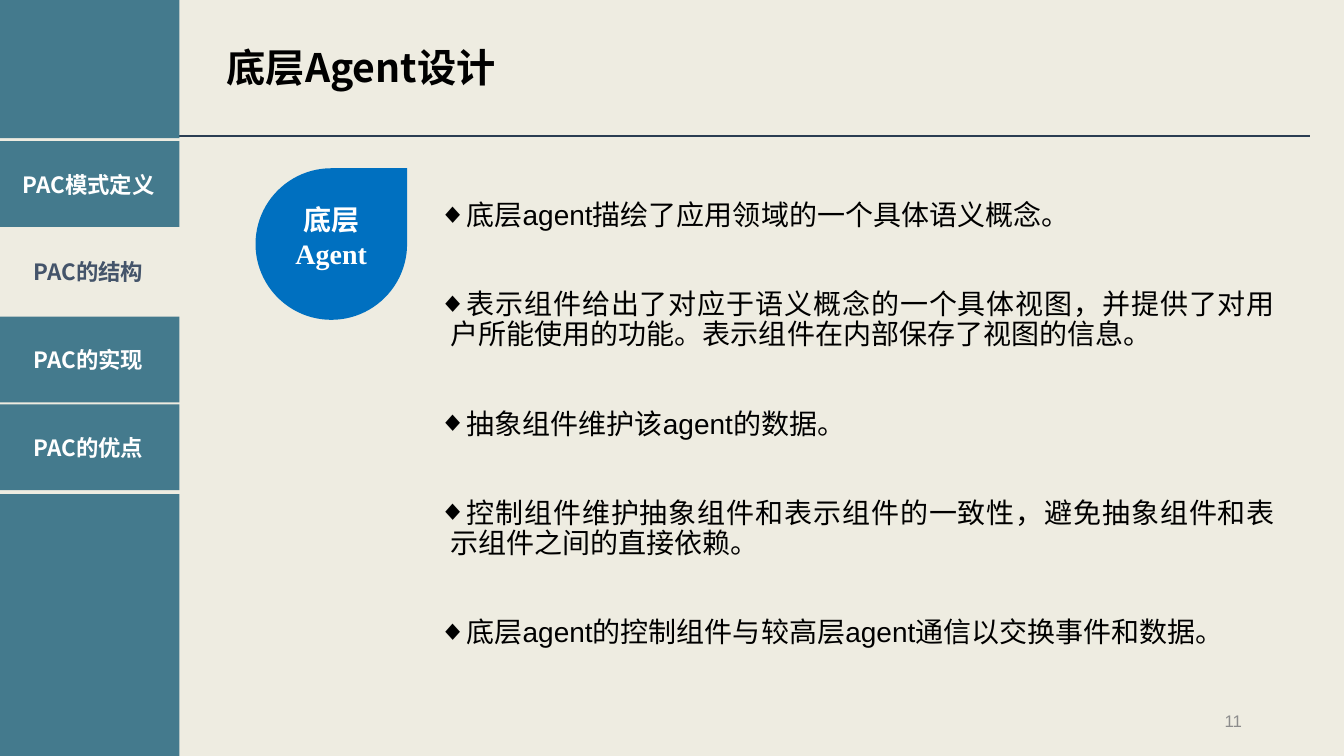
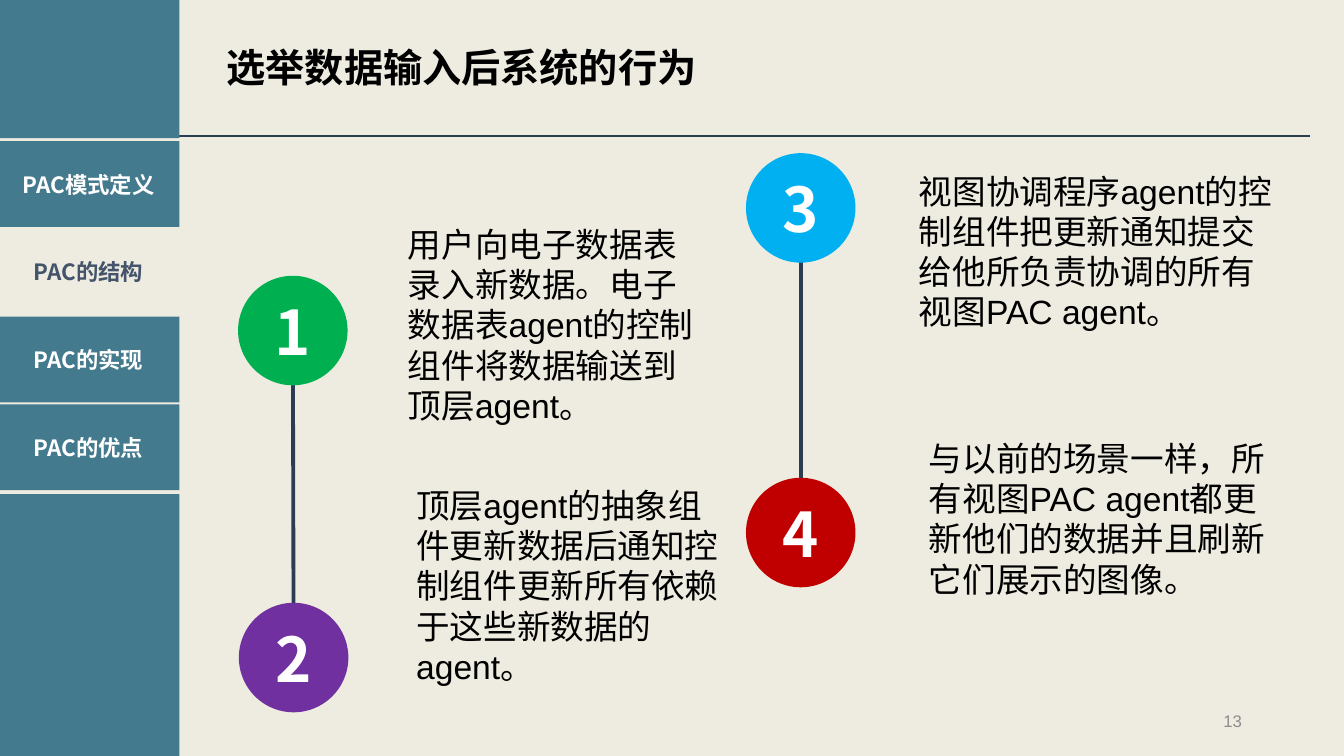
from dataclasses import dataclass

from lxml.etree import SubElement
from pptx import Presentation
from pptx.dml.color import RGBColor
from pptx.enum.shapes import MSO_CONNECTOR as Connector, MSO_SHAPE as Preset
from pptx.enum.text import MSO_ANCHOR as Anchor, MSO_AUTO_SIZE as AutoSize, PP_ALIGN as Align
from pptx.oxml.ns import qn
from pptx.shapes.autoshape import Shape
from pptx.slide import Slide
from pptx.text.text import TextFrame
from pptx.util import Cm, Pt

CREAM = RGBColor(0xEE, 0xEC, 0xE1)
TEAL = RGBColor(0x44, 0x7A, 0x8D)
SLATE = RGBColor(0x44, 0x54, 0x6A)
NAVY = RGBColor(0x2A, 0x3D, 0x52)
GRAY = RGBColor(0x8C, 0x8C, 0x8C)
BLACK = RGBColor(0x00, 0x00, 0x00)
WHITE = RGBColor(0xFF, 0xFF, 0xFF)
BLUE = RGBColor(0x00, 0x70, 0xC0)
GREEN = RGBColor(0x00, 0xB0, 0x50)
PURPLE = RGBColor(0x70, 0x30, 0xA0)
SKY = RGBColor(0x00, 0xB0, 0xF0)
RED = RGBColor(0xC0, 0x00, 0x00)

SANS = "Noto Sans CJK SC"
BODY = "Arial"
SERIF = "Times New Roman"

SECTIONS = ("PAC模式定义", "PAC的结构", "PAC的实现", "PAC的优点")
CURRENT_SECTION = "PAC的结构"
SIDEBAR_LEFT, SIDEBAR_WIDTH = -0.05, 4.57
TAB_TOP, TAB_HEIGHT, TAB_PITCH = 3.56, 2.16, 2.21
CIRCLE_SIZE = 2.76


@dataclass(frozen=True)
class Box:
    left: float
    top: float
    width: float
    height: float

    def lengths(self) -> tuple[Cm, Cm, Cm, Cm]:
        return Cm(self.left), Cm(self.top), Cm(self.width), Cm(self.height)


@dataclass(frozen=True)
class TextStyle:
    size: float
    font: str
    color: RGBColor
    bold: bool = False
    align: Align = Align.LEFT


@dataclass(frozen=True)
class Step:
    number: str
    color: RGBColor
    left: float
    top: float
    text: str
    text_box: Box

    def center(self) -> tuple[Cm, Cm]:
        return Cm(self.left + CIRCLE_SIZE / 2), Cm(self.top + CIRCLE_SIZE / 2)


TITLE_BOX = Box(5.46, 0.97, 15.72, 1.45)
NUMBER_BOX = Box(23.93, 17.65, 7.62, 1.02)
LIST_BOX = Box(10.8, 4.95, 21.59, 11.43)
DROP_BOX = Box(6.44, 4.24, 3.82, 3.82)

TITLE_STYLE = TextStyle(28, SANS, BLACK, True)
NUMBER_STYLE = TextStyle(12, BODY, GRAY, align=Align.RIGHT)
TAB_STYLE = TextStyle(16, SANS, WHITE, True, Align.CENTER)
CURRENT_TAB_STYLE = TextStyle(16, SANS, SLATE, True, Align.CENTER)
DROP_STYLE = TextStyle(20, SERIF, WHITE, True, Align.CENTER)
LIST_STYLE = TextStyle(20, BODY, BLACK, align=Align.JUSTIFY)
CIRCLE_STYLE = TextStyle(44, SANS, WHITE, True, Align.CENTER)
STEP_STYLE = TextStyle(24, BODY, BLACK)

AGENT_POINTS = (
    "底层agent描绘了应用领域的一个具体语义概念。",
    "表示组件给出了对应于语义概念的一个具体视图，并提供了对用户所能使用的功能。表示组件在内部保存了视图的信息。",
    "抽象组件维护该agent的数据。",
    "控制组件维护抽象组件和表示组件的一致性，避免抽象组件和表示组件之间的直接依赖。",
    "底层agent的控制组件与较高层agent通信以交换事件和数据。",
)

STEP_CHAINS = (
    (
        Step("1", GREEN, 6.0, 6.95,
             "用户向电子数据表录入新数据。电子数据表agent的控制组件将数据输送到顶层agent。",
             Box(8.76, 5.51, 9.37, 5.38)),
        Step("2", PURPLE, 6.02, 15.19,
             "顶层agent的抽象组件更新数据后通知控制组件更新所有依赖于这些新数据的agent。",
             Box(8.97, 12.09, 9.65, 5.38)),
    ),
    (
        Step("3", SKY, 18.8, 3.86,
             "视图协调程序agent的控制组件把更新通知提交给他所负责协调的所有视图PAC agent。",
             Box(21.64, 4.17, 10.8, 4.37)),
        Step("4", RED, 18.8, 12.04,
             "与以前的场景一样，所有视图PAC agent都更新他们的数据并且刷新它们展示的图像。",
             Box(21.89, 10.9, 10.8, 4.37)),
    ),
)


def write(frame: TextFrame, text: str, style: TextStyle, anchor: Anchor = Anchor.TOP) -> None:
    frame.text = text
    frame.word_wrap = True
    frame.auto_size = AutoSize.NONE
    frame.vertical_anchor = anchor
    for paragraph in frame.paragraphs:
        paragraph.alignment = style.align
        for run in paragraph.runs:
            run.font.size = Pt(style.size)
            run.font.name = style.font
            run.font.bold = style.bold
            run.font.color.rgb = style.color


def add_filled(slide: Slide, preset: Preset, box: Box, color: RGBColor) -> Shape:
    filled = slide.shapes.add_shape(preset, *box.lengths())
    filled.shadow.inherit = False
    filled.fill.solid()
    filled.fill.fore_color.rgb = color
    filled.line.fill.background()
    return filled


def add_line(slide: Slide, start: tuple[Cm, Cm], end: tuple[Cm, Cm], width: float) -> None:
    line = slide.shapes.add_connector(Connector.STRAIGHT, *start, *end)
    line.line.color.rgb = NAVY
    line.line.width = Pt(width)
    SubElement(line._element.spPr, qn("a:effectLst"))


def add_text(slide: Slide, box: Box, text: str, style: TextStyle,
             anchor: Anchor = Anchor.TOP) -> TextFrame:
    frame = slide.shapes.add_textbox(*box.lengths()).text_frame
    write(frame, text, style, anchor)
    return frame


def place(placeholder: Shape, box: Box) -> None:
    placeholder.left, placeholder.top, placeholder.width, placeholder.height = box.lengths()


def add_sidebar(slide: Slide) -> None:
    for top, height in ((-0.08, 3.56), (12.45, 7.06)):
        add_filled(slide, Preset.RECTANGLE, Box(SIDEBAR_LEFT, top, SIDEBAR_WIDTH, height), TEAL)
    for index, section in enumerate(SECTIONS):
        current = section == CURRENT_SECTION
        box = Box(SIDEBAR_LEFT, TAB_TOP + index * TAB_PITCH, SIDEBAR_WIDTH, TAB_HEIGHT)
        tab = add_filled(slide, Preset.RECTANGLE, box, CREAM if current else TEAL)
        write(tab.text_frame, section, CURRENT_TAB_STYLE if current else TAB_STYLE, Anchor.MIDDLE)


def add_base(deck: Presentation, layout_index: int, title: str, number: str) -> Slide:
    slide = deck.slides.add_slide(deck.slide_layouts[layout_index])
    place(slide.shapes.title, TITLE_BOX)
    write(slide.shapes.title.text_frame, title, TITLE_STYLE)
    add_line(slide, (Cm(3.43), Cm(3.43)), (Cm(33.02), Cm(3.43)), 1)
    add_sidebar(slide)
    add_text(slide, NUMBER_BOX, number, NUMBER_STYLE, Anchor.MIDDLE)
    return slide


def fill_list(body: Shape, points: tuple[str, ...]) -> None:
    place(body, LIST_BOX)
    write(body.text_frame, "\n".join(points), LIST_STYLE)
    for index, paragraph in enumerate(body.text_frame.paragraphs):
        properties = paragraph._p.get_or_add_pPr()
        properties.set("marL", str(Cm(0.3)))
        properties.set("indent", str(Cm(-0.97)))
        SubElement(properties, qn("a:buChar")).set("char", "◆")
        paragraph.line_spacing = 0.9
        paragraph.space_before = Pt(42 if index else 0)


def add_step(slide: Slide, step: Step) -> None:
    box = Box(step.left, step.top, CIRCLE_SIZE, CIRCLE_SIZE)
    circle = add_filled(slide, Preset.OVAL, box, step.color)
    write(circle.text_frame, step.number, CIRCLE_STYLE, Anchor.MIDDLE)
    circle.text_frame.margin_left = circle.text_frame.margin_right = Cm(0.18)
    circle.text_frame.margin_top = circle.text_frame.margin_bottom = Cm(0.1)
    add_text(slide, step.text_box, step.text, STEP_STYLE).margin_left = Cm(1.52)


def add_agent_slide(deck: Presentation) -> None:
    slide = add_base(deck, 1, "底层Agent设计", "11")
    drop = add_filled(slide, Preset.TEAR, DROP_BOX, BLUE)
    write(drop.text_frame, "底层\nAgent", DROP_STYLE, Anchor.MIDDLE)
    drop.text_frame.margin_bottom = Cm(0.5)
    fill_list(slide.placeholders[1], AGENT_POINTS)


def add_behavior_slide(deck: Presentation) -> None:
    slide = add_base(deck, 5, "选举数据输入后系统的行为", "13")
    for first, second in STEP_CHAINS:
        add_line(slide, first.center(), second.center(), 2.75)
        add_step(slide, first)
        add_step(slide, second)


def main() -> None:
    deck = Presentation()
    deck.slide_width, deck.slide_height = Cm(33.87), Cm(19.05)
    background = deck.slide_master.background.fill
    background.solid()
    background.fore_color.rgb = CREAM
    add_agent_slide(deck)
    add_behavior_slide(deck)
    deck.save("out.pptx")


if __name__ == "__main__":
    main()
